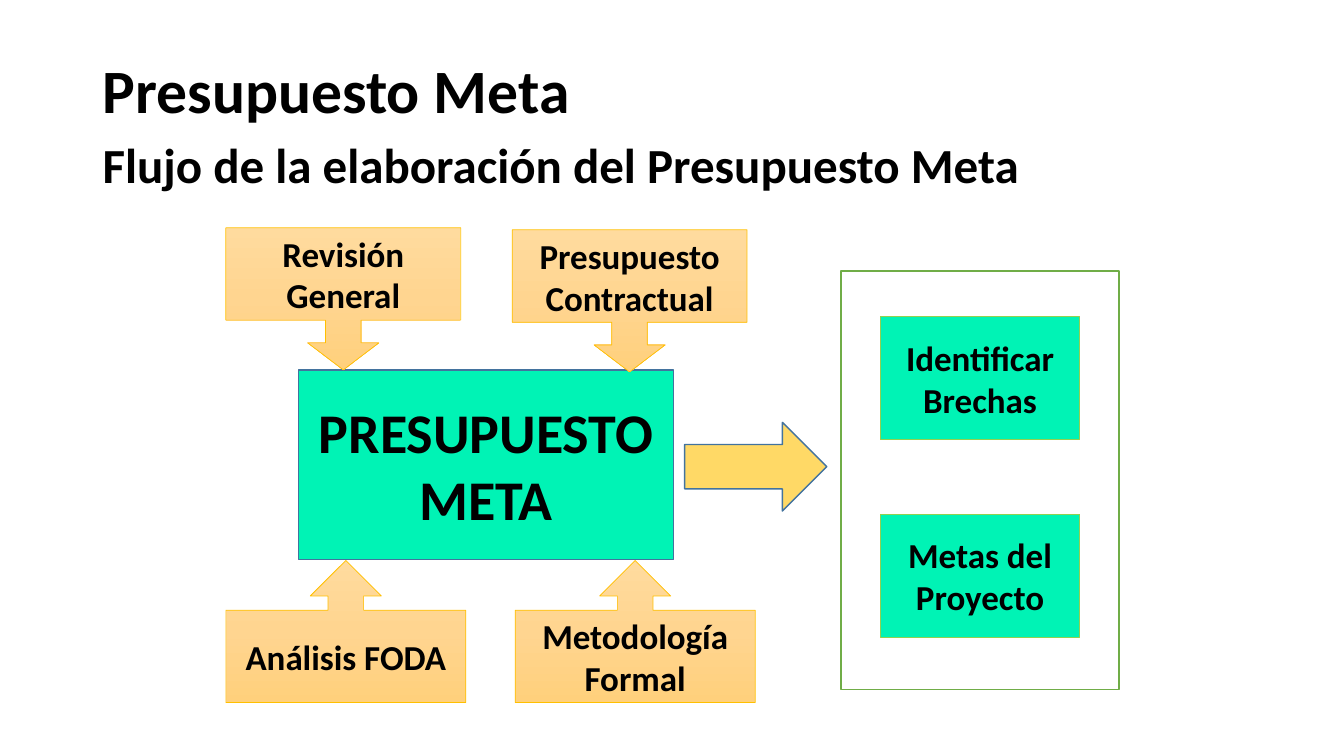
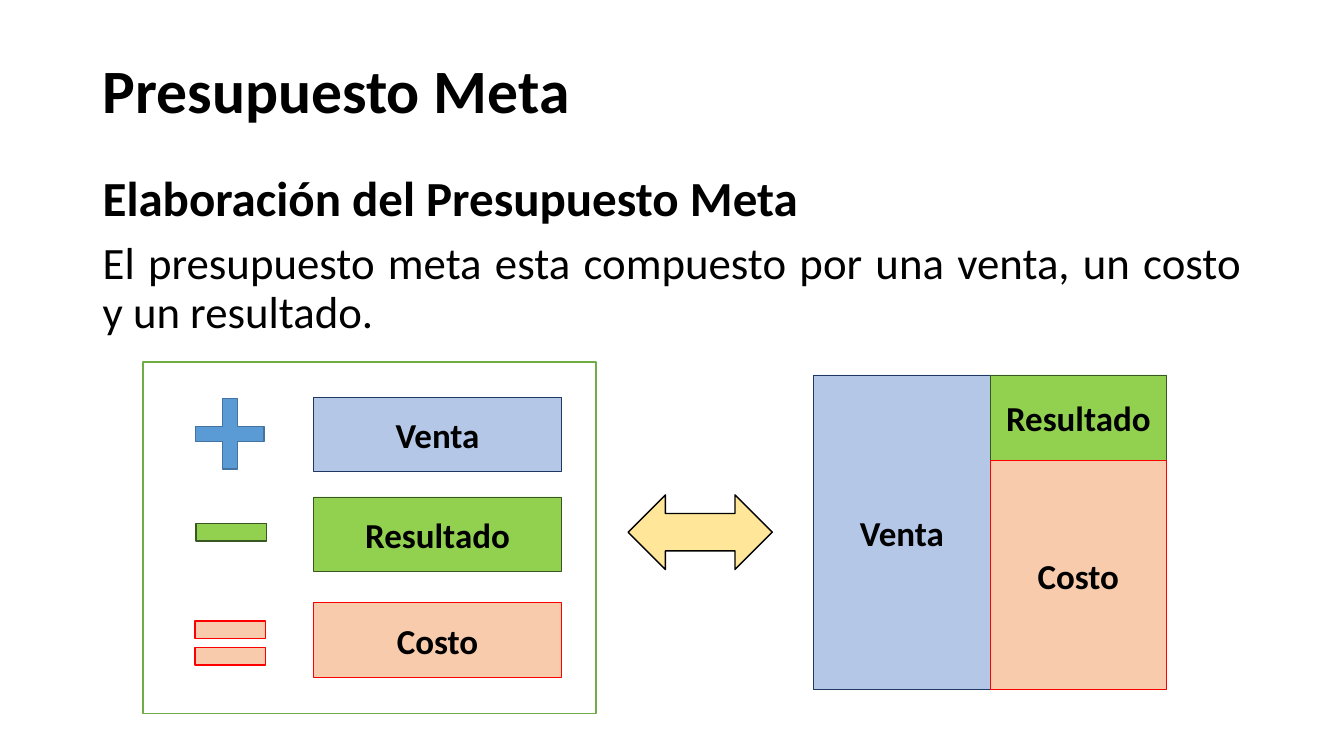
from copy import deepcopy
from dataclasses import dataclass

from pptx import Presentation
from pptx.dml.color import RGBColor
from pptx.enum.shapes import MSO_SHAPE
from pptx.enum.text import MSO_ANCHOR, PP_ALIGN
from pptx.oxml.ns import qn
from pptx.presentation import Presentation as Deck
from pptx.shapes.autoshape import Shape
from pptx.slide import Slide
from pptx.text.text import _Paragraph as Paragraph
from pptx.util import Inches, Pt


@dataclass(frozen=True)
class Style:
    fill: tuple[str, ...]
    line: str
    line_width: float = 0.5


@dataclass(frozen=True)
class Theme:
    font: str = "Calibri"
    text: str = "000000"
    title_size: int = 44
    subtitle_size: int = 35
    body_size: int = 32
    center_size: int = 40
    label_size: int = 25
    line_spacing: float = 0.9
    space_before: int = 10
    center: Style = Style(("00F3B5",), "43739E", 1)
    callout: Style = Style(("FFDB9E", "FFD590", "FFD07C"), "FFC000")
    flow_arrow: Style = Style(("FFD966",), "43739E", 1)
    frame: Style = Style(("FFFFFF",), "70AD47", 1)
    outcome: Style = Style(("00F3B5",), "92D050")
    sale: Style = Style(("B4C7E7",), "203864")
    result: Style = Style(("92D050",), "385723")
    cost: Style = Style(("F8CBAD",), "FF0000")
    plus: Style = Style(("5B9BD5",), "43739E", 1)
    minus: Style = Style(("92D050",), "385723", 1)
    equal: Style = Style(("F8CBAD",), "FF0000", 1)
    double_arrow: Style = Style(("FFE699",), "000000", 1)


THEME = Theme()


@dataclass(frozen=True)
class Box:
    left: float
    top: float
    width: float
    height: float


@dataclass(frozen=True)
class Block:
    kind: MSO_SHAPE
    box: Box
    style: Style
    text: str = ""
    size: int = THEME.label_size
    adjustments: tuple[float, ...] = ()


@dataclass(frozen=True)
class Line:
    text: str
    size: int
    bold: bool = True


def add_run(paragraph: Paragraph, line: Line) -> None:
    run = paragraph.add_run()
    run.text = line.text
    run.font.name = THEME.font
    run.font.size = Pt(line.size)
    run.font.bold = line.bold
    run.font.color.rgb = RGBColor.from_string(THEME.text)


def add_text(slide: Slide, box: Box, lines: list[Line], alignment: PP_ALIGN,
             anchor: MSO_ANCHOR) -> None:
    frame = slide.shapes.add_textbox(
        Inches(box.left), Inches(box.top), Inches(box.width), Inches(box.height)
    ).text_frame
    frame.word_wrap = True
    frame.vertical_anchor = anchor
    for index, line in enumerate(lines):
        paragraph = frame.add_paragraph() if index else frame.paragraphs[0]
        paragraph.alignment = alignment
        paragraph.line_spacing = THEME.line_spacing
        if index:
            paragraph.space_before = Pt(THEME.space_before)
        add_run(paragraph, line)


def apply_fill(shape: Shape, colors: tuple[str, ...]) -> None:
    if len(colors) == 1:
        shape.fill.solid()
        shape.fill.fore_color.rgb = RGBColor.from_string(colors[0])
        return
    shape.fill.gradient()
    shape.fill.gradient_angle = 270
    stop_list = shape._element.spPr.find(qn("a:gradFill")).find(qn("a:gsLst"))
    while len(stop_list) < len(colors):
        stop_list.append(deepcopy(stop_list[0]))
    for index, (stop, color) in enumerate(zip(shape.fill.gradient_stops, colors)):
        stop.position = index / (len(colors) - 1)
        stop.color.rgb = RGBColor.from_string(color)


def add_block(slide: Slide, block: Block) -> None:
    box = block.box
    shape = slide.shapes.add_shape(
        block.kind, Inches(box.left), Inches(box.top), Inches(box.width), Inches(box.height)
    )
    shape.shadow.inherit = False
    for index, value in enumerate(block.adjustments):
        shape.adjustments[index] = value
    apply_fill(shape, block.style.fill)
    shape.line.color.rgb = RGBColor.from_string(block.style.line)
    shape.line.width = Pt(block.style.line_width)
    if block.text:
        frame = shape.text_frame
        frame.word_wrap = True
        frame.vertical_anchor = MSO_ANCHOR.MIDDLE
        frame.paragraphs[0].alignment = PP_ALIGN.CENTER
        add_run(frame.paragraphs[0], Line(block.text, block.size))


def add_titled_slide(presentation: Deck, body_box: Box, body: list[Line],
                     blocks: list[Block]) -> None:
    slide = presentation.slides.add_slide(presentation.slide_layouts[6])
    add_text(slide, Box(0.92, 0.4, 11.5, 1.06), [Line("Presupuesto Meta", THEME.title_size)],
             PP_ALIGN.LEFT, MSO_ANCHOR.MIDDLE)
    add_text(slide, body_box, body, PP_ALIGN.JUSTIFY, MSO_ANCHOR.TOP)
    for block in blocks:
        add_block(slide, block)


def flow_blocks() -> list[Block]:
    down, up = MSO_SHAPE.DOWN_ARROW_CALLOUT, MSO_SHAPE.UP_ARROW_CALLOUT
    down_shape = (0.25, 0.25, 0.19, 0.65)
    callouts = [
        (down, 2.24, 2.26, 2.33, "Revisión General", down_shape),
        (down, 5.08, 2.28, 2.33, "Presupuesto Contractual", down_shape),
        (up, 2.24, 5.56, 2.38, "Análisis FODA", ()),
        (up, 5.11, 5.56, 2.38, "Metodología Formal", ()),
    ]
    outcomes = ["Identificar Brechas", "Metas del Proyecto"]
    return [
        Block(MSO_SHAPE.RECTANGLE, Box(2.96, 3.67, 3.72, 1.88), THEME.center,
              "PRESUPUESTO META", THEME.center_size),
        *(Block(kind, Box(left, top, width, 1.41), THEME.callout, text, adjustments=adjustments)
          for kind, left, top, width, text, adjustments in callouts),
        Block(MSO_SHAPE.RIGHT_ARROW, Box(6.79, 4.19, 1.41, 0.88), THEME.flow_arrow),
        Block(MSO_SHAPE.RECTANGLE, Box(8.34, 2.69, 2.76, 4.15), THEME.frame),
        *(Block(MSO_SHAPE.RECTANGLE, Box(8.73, 3.14 + 1.96 * row, 1.98, 1.22),
                THEME.outcome, text)
          for row, text in enumerate(outcomes)),
    ]


def composition_blocks() -> list[Block]:
    rectangle = MSO_SHAPE.RECTANGLE
    terms = [
        (3.94, "Venta", THEME.sale),
        (4.93, "Resultado", THEME.result),
        (5.98, "Costo", THEME.cost),
    ]
    left, top, column, height, result_height = 8.07, 3.72, 1.75, 3.12, 0.85
    right = left + column
    return [
        Block(rectangle, Box(1.42, 3.59, 4.49, 3.49), THEME.frame),
        *(Block(rectangle, Box(3.11, term_top, 2.46, 0.74), style, text)
          for term_top, text, style in terms),
        Block(MSO_SHAPE.MATH_PLUS, Box(1.82, 3.83, 0.92, 0.95), THEME.plus,
              adjustments=(0.16,)),
        Block(MSO_SHAPE.MATH_MINUS, Box(1.82, 4.91, 0.95, 0.74), THEME.minus),
        Block(MSO_SHAPE.MATH_EQUAL, Box(1.81, 6.01, 0.95, 0.74), THEME.equal),
        Block(rectangle, Box(left, top, column, height), THEME.sale, "Venta"),
        Block(rectangle, Box(right, top, column, result_height), THEME.result, "Resultado"),
        Block(rectangle, Box(right, top + result_height, column, height - result_height),
              THEME.cost, "Costo"),
        Block(MSO_SHAPE.LEFT_RIGHT_ARROW, Box(6.23, 4.91, 1.43, 0.74), THEME.double_arrow),
    ]


def main() -> None:
    presentation = Presentation()
    presentation.slide_width = Inches(13.33)
    presentation.slide_height = Inches(7.5)
    add_titled_slide(
        presentation,
        Box(0.92, 1.35, 11.5, 0.88),
        [Line("Flujo de la elaboración del Presupuesto Meta", THEME.subtitle_size)],
        flow_blocks(),
    )
    add_titled_slide(
        presentation,
        Box(0.92, 1.68, 11.5, 1.91),
        [
            Line("Elaboración del Presupuesto Meta", THEME.subtitle_size),
            Line("El presupuesto meta esta compuesto por una venta, un costo y un resultado.",
                 THEME.body_size, bold=False),
        ],
        composition_blocks(),
    )
    presentation.save("out.pptx")


if __name__ == "__main__":
    main()
